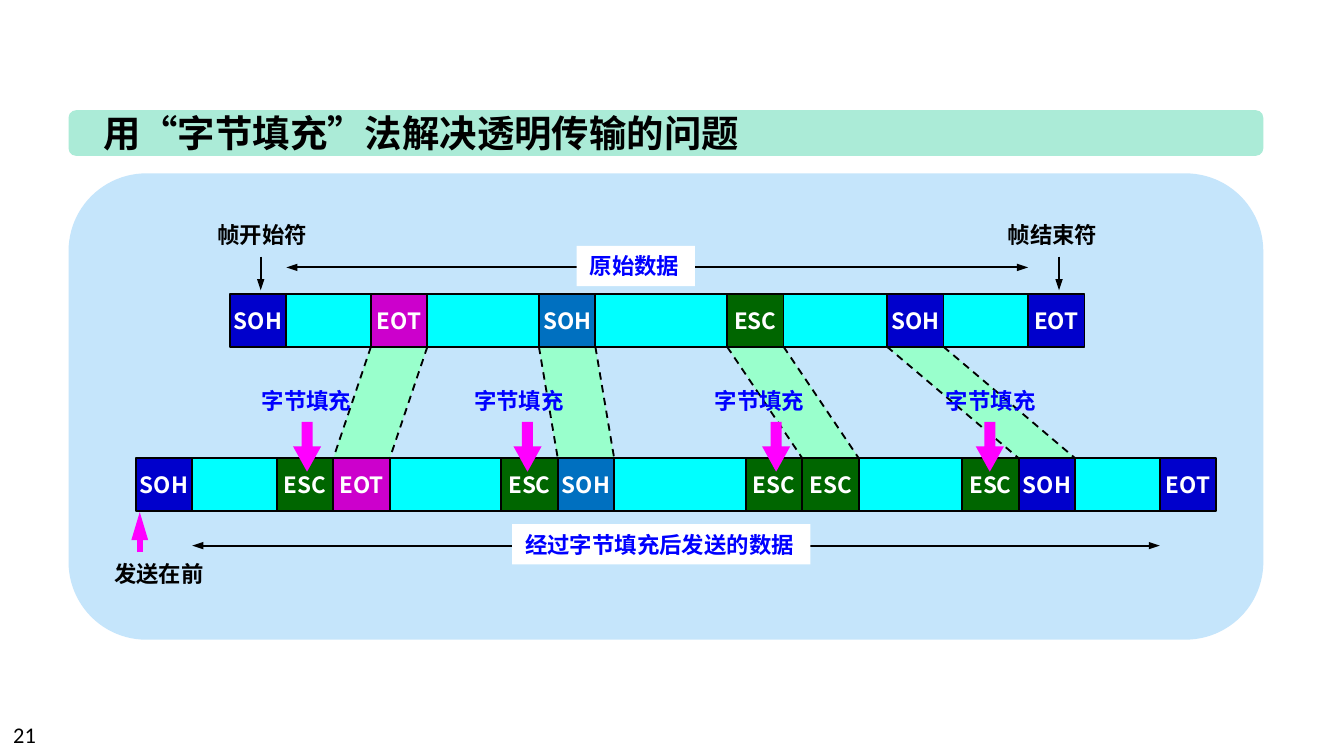
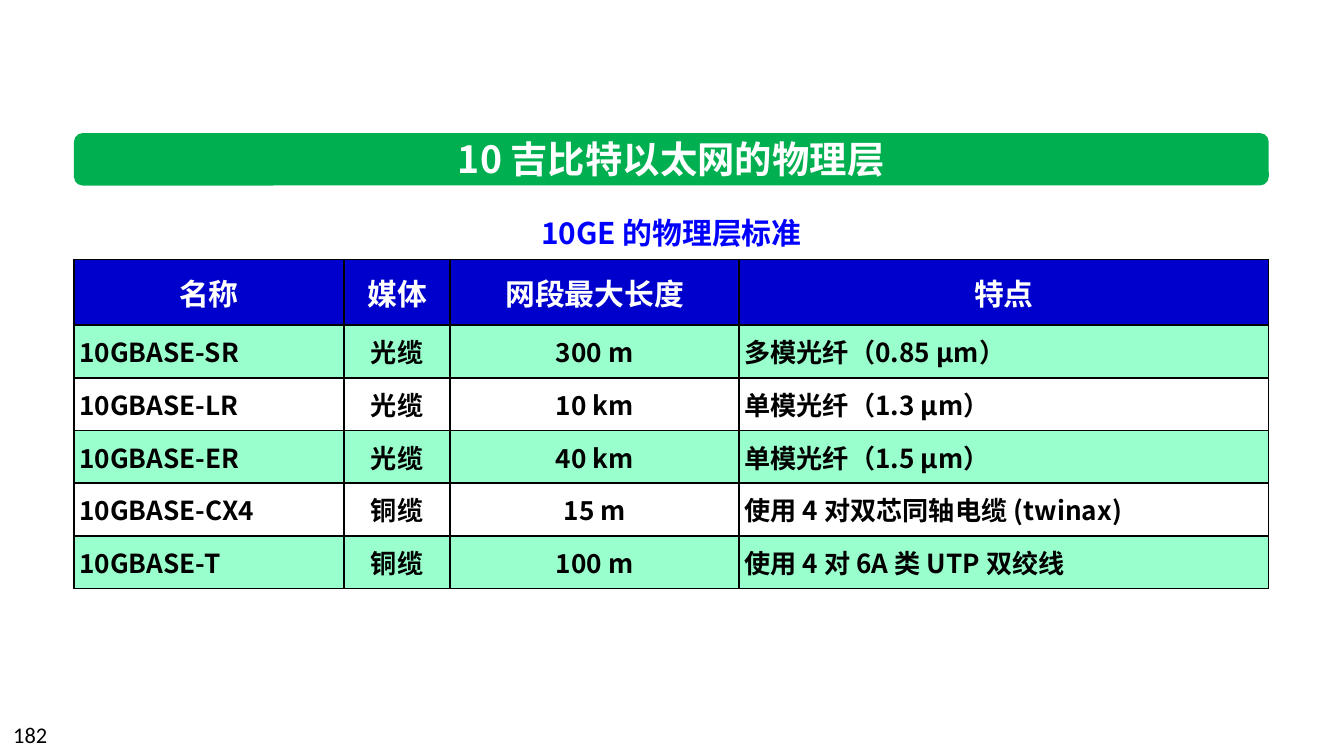
from lxml import etree
from pptx import Presentation
from pptx.dml.color import RGBColor
from pptx.enum.dml import MSO_LINE
from pptx.enum.shapes import MSO_CONNECTOR, MSO_SHAPE
from pptx.enum.text import MSO_ANCHOR, MSO_AUTO_SIZE, PP_ALIGN
from pptx.oxml.ns import qn
from pptx.util import Inches, Pt

LEFT, CENTER, JUSTIFY = PP_ALIGN.LEFT, PP_ALIGN.CENTER, PP_ALIGN.JUSTIFY
MIDDLE = MSO_ANCHOR.MIDDLE
FIT_SHAPE = MSO_AUTO_SIZE.SHAPE_TO_FIT_TEXT
RECTANGLE, ROUNDED = MSO_SHAPE.RECTANGLE, MSO_SHAPE.ROUNDED_RECTANGLE
DOWN_ARROW = MSO_SHAPE.DOWN_ARROW
STRAIGHT = MSO_CONNECTOR.STRAIGHT
DASH = MSO_LINE.DASH

FONT, NUMBER_FONT = "Noto Sans CJK SC", "Calibri"
BLACK, WHITE, BLUE, NAVY = "000000", "FFFFFF", "0000FF", "0000CC"
MINT, CYAN, MAGENTA = "99FFCC", "00FFFF", "FF00FF"
PURPLE, GREEN, STEEL = "CC00CC", "006600", "0070C0"
PANEL, TITLE_MINT, TITLE_GREEN = "C5E5FB", "ABEBD7", "00B050"

# Arrowhead width and length
SMALL_HEAD, LONG_HEAD = ("sm", "med"), ("med", "lg")

# Frame layout: widths of the data stretches between control characters
CELL_WIDTH, CELL_HEIGHT = 0.42, 0.39
DATA_WIDTHS = [0.63, 0.83, 0.98, 0.77, 0.63]
# Character, colour, label and arrow offsets from the stuffed ESC cell
DATA_CHARACTERS = [
    ("EOT", PURPLE, -0.21, 0.12),
    ("SOH", STEEL, -0.3, 0.09),
    ("ESC", GREEN, -0.33, 0.12),
    ("SOH", NAVY, -0.22, 0.1),
]

COLUMN_WIDTHS = [2.01, 0.79, 2.15, 3.94]
COLUMN_ALIGNMENTS = [JUSTIFY, CENTER, CENTER, JUSTIFY]
STANDARDS = [
    ["名称", "媒体", "网段最大长度", "特点"],
    ["10GBASE-SR", "光缆", "300 m", "多模光纤（0.85 μm）"],
    ["10GBASE-LR", "光缆", "10 km", "单模光纤（1.3 μm）"],
    ["10GBASE-ER", "光缆", "40 km", "单模光纤（1.5 μm）"],
    ["10GBASE-CX4", "铜缆", "15 m", "使用 4 对双芯同轴电缆 (twinax)"],
    ["10GBASE-T", "铜缆", "100 m", "使用 4 对 6A 类 UTP 双绞线"],
]


def rgb(value):
    return RGBColor.from_string(value)


def inches(*values):
    return [Inches(value) for value in values]


def write(frame, text, size, color, align=LEFT, bold=True, name=FONT):
    paragraph = frame.paragraphs[0]
    paragraph.text = text
    paragraph.alignment = align
    font = paragraph.font
    font.size, font.bold, font.name = Pt(size), bold, name
    font.color.rgb = rgb(color)
    # East Asian typeface
    properties = paragraph._p.pPr.find(qn("a:defRPr"))
    etree.SubElement(properties, qn("a:ea"), typeface=name)


def add_box(slide, kind, box, fill, outlined=False):
    shape = slide.shapes.add_shape(kind, *inches(*box))
    shape.shadow.inherit = False
    shape.fill.solid()
    shape.fill.fore_color.rgb = rgb(fill)
    if outlined:
        shape.line.color.rgb = rgb(BLACK)
        shape.line.width = Pt(1)
    else:
        shape.line.fill.background()
    return shape


def add_text(slide, box, text, size, color, align=LEFT, fill=None):
    shape = slide.shapes.add_textbox(*inches(*box))
    frame = shape.text_frame
    frame.word_wrap = False
    frame.auto_size = FIT_SHAPE
    write(frame, text, size, color, align)
    if fill:
        shape.fill.solid()
        shape.fill.fore_color.rgb = rgb(fill)


def add_label(slide, left, top, text, color=BLACK, width=0.88, fill=None):
    add_text(slide, (left, top, width, 0.3), text, 12, color, fill=fill)


def add_line(slide, start, end, color=BLACK, width=1, dashed=False,
             arrows=(), head=SMALL_HEAD):
    connector = slide.shapes.add_connector(STRAIGHT, *inches(*start, *end))
    connector.line.color.rgb = rgb(color)
    connector.line.width = Pt(width)
    if dashed:
        connector.line.dash_style = DASH
    line = connector.line._get_or_add_ln()
    for arrow in arrows:
        etree.SubElement(line, qn(f"a:{arrow}"), type="triangle", w=head[0], len=head[1])
    etree.SubElement(connector._element.spPr, qn("a:effectLst"))


def add_title(slide, box, text, fill, color, text_width, indent=None):
    """Rounded band with a heading, indented or centred."""
    left, top, width, height = box
    add_box(slide, ROUNDED, box, fill)
    offset = (width - text_width) / 2 if indent is None else indent
    text_box = (left + offset, top + (height - 0.44) / 2, text_width, 0.44)
    add_text(slide, text_box, text, 20, color, CENTER if indent is None else LEFT)


def add_slide_number(slide, number):
    shape = slide.shapes.add_textbox(*inches(0, 5.32, 2.33, 0.3))
    shape.text_frame.word_wrap = True
    write(shape.text_frame, str(number), 12, BLACK, bold=False, name=NUMBER_FONT)


def add_cell(slide, left, top, text, fill):
    box = (left, top, CELL_WIDTH, CELL_HEIGHT)
    frame = add_box(slide, RECTANGLE, box, fill, outlined=True).text_frame
    frame.word_wrap = False
    frame.vertical_anchor = MIDDLE
    write(frame, text, 12, WHITE, CENTER)


def character_lefts(left, stuffed):
    """Left edges of the four data characters and of the closing EOT."""
    lefts, position = [], left + CELL_WIDTH
    for index, width in enumerate(DATA_WIDTHS):
        position += width
        if stuffed and index < len(DATA_CHARACTERS):
            position += CELL_WIDTH
        lefts.append(position)
        position += CELL_WIDTH
    return lefts


def add_frame_row(slide, left, top, stuffed):
    *lefts, end = character_lefts(left, stuffed)
    start = left + CELL_WIDTH
    bar = (start, top, end - start, CELL_HEIGHT)
    add_box(slide, RECTANGLE, bar, CYAN, outlined=True)
    add_cell(slide, left, top, "SOH", NAVY)
    for position, (text, fill, _, _) in zip(lefts, DATA_CHARACTERS):
        if stuffed:
            add_cell(slide, position - CELL_WIDTH, top, "ESC", GREEN)
        add_cell(slide, position, top, text, fill)
    add_cell(slide, end, top, "EOT", NAVY)


def add_span(slide, start, end, y, text, left, width):
    """Double-headed arrow with a white caption on it."""
    add_line(slide, (start, y), (end, y), arrows=("headEnd", "tailEnd"))
    add_label(slide, left, y - 0.16, text, BLUE, width, WHITE)


def add_stuffing_diagram(slide, box):
    left, top, _, _ = box
    add_box(slide, ROUNDED, box, PANEL)
    original_left, original_top = left + 1.2, top + 0.9
    sent_left, sent_top = left + 0.5, top + 2.12
    *original, original_end = character_lefts(original_left, False)
    *sent, sent_end = character_lefts(sent_left, True)
    upper = original_top + CELL_HEIGHT

    # Bands that link each character to its place in the sent frame
    for above, below in zip(original, sent):
        corners = [(below, sent_top), (below + CELL_WIDTH, sent_top),
                   (above + CELL_WIDTH, upper), (above, upper)]
        points = [inches(*corner) for corner in corners]
        builder = slide.shapes.build_freeform(*points[0], scale=1.0)
        builder.add_line_segments(points[1:], close=True)
        band = builder.convert_to_shape()
        band.shadow.inherit = False
        band.fill.solid()
        band.fill.fore_color.rgb = rgb(MINT)
        band.line.fill.background()

    # The two frames and the dashed guides
    add_frame_row(slide, original_left, original_top, False)
    add_frame_row(slide, sent_left, sent_top, True)
    for above, below in zip(original, sent):
        for edge in (0, CELL_WIDTH):
            add_line(slide, (above + edge, upper), (below + edge, sent_top), dashed=True)

    # Extents of the data
    add_span(slide, original_left + CELL_WIDTH, original_end, top + 0.7,
             "原始数据", left + 3.78, 0.88)
    add_span(slide, sent_left + CELL_WIDTH, sent_end, top + 2.77,
             "经过字节填充后发送的数据", left + 3.3, 2.22)

    # Stuffed bytes
    for position, (_, _, label_offset, arrow_offset) in zip(sent, DATA_CHARACTERS):
        escape = position - CELL_WIDTH
        add_label(slide, escape + label_offset, top + 1.54, "字节填充", BLUE)
        arrow_box = (escape + arrow_offset, top + 1.85, 0.21, 0.37)
        arrow = add_box(slide, DOWN_ARROW, arrow_box, MAGENTA)
        arrow.adjustments[0], arrow.adjustments[1] = 0.39, 0.9

    # Frame delimiters
    delimiters = [("帧开始符", original_left, -0.19), ("帧结束符", original_end, -0.25)]
    for text, position, offset in delimiters:
        add_label(slide, position + offset, top + 0.31, text)
        x = position + 0.23
        add_line(slide, (x, top + 0.62), (x, top + 0.87), arrows=("tailEnd",))

    # Sending order
    x = sent_left + 0.03
    add_line(slide, (x, top + 2.82), (x, top + 2.52), MAGENTA, 3,
             arrows=("tailEnd",), head=LONG_HEAD)
    add_label(slide, left + 0.24, top + 2.83, "发送在前")


def add_borders(cell):
    properties = cell._tc.get_or_add_tcPr()
    for index, side in enumerate(("lnL", "lnR", "lnT", "lnB")):
        line = etree.Element(qn(f"a:{side}"), w=str(Pt(1)))
        fill = etree.SubElement(line, qn("a:solidFill"))
        etree.SubElement(fill, qn("a:srgbClr"), val=BLACK)
        properties.insert(index, line)


def add_standards_table(slide, box):
    left, top, width, height = box
    caption_box = (left + (width - 2.19) / 2, top - 0.38, 2.19, 0.37)
    add_text(slide, caption_box, "10GE 的物理层标准", 16, BLUE, CENTER)
    graphic = slide.shapes.add_table(len(STANDARDS), len(COLUMN_WIDTHS), *inches(*box))
    table = graphic.table
    table.first_row = table.horz_banding = False
    for column, column_width in zip(table.columns, COLUMN_WIDTHS):
        column.width = Inches(column_width)
    header_height = 0.49
    body_height = (height - header_height) / (len(STANDARDS) - 1)
    for row_index, texts in enumerate(STANDARDS):
        header = row_index == 0
        table.rows[row_index].height = Inches(header_height if header else body_height)
        for column_index, text in enumerate(texts):
            cell = table.cell(row_index, column_index)
            cell.vertical_anchor = MIDDLE
            cell.margin_left = cell.margin_right = Inches(0.04)
            cell.margin_top = cell.margin_bottom = 0
            if header or row_index % 2:
                cell.fill.solid()
                cell.fill.fore_color.rgb = rgb(NAVY if header else MINT)
            else:
                cell.fill.background()
            align = CENTER if header else COLUMN_ALIGNMENTS[column_index]
            write(cell.text_frame, text, 16 if header else 14,
                  WHITE if header else BLACK, align)
            add_borders(cell)


def build_stuffing_slide(slide):
    add_title(slide, (0.51, 0.82, 8.89, 0.34), "用“字节填充”法解决透明传输的问题",
              TITLE_MINT, BLACK, 4.97, indent=0.16)
    add_stuffing_diagram(slide, (0.51, 1.29, 8.89, 3.47))
    add_slide_number(slide, 21)


def build_standards_slide(slide):
    add_title(slide, (0.55, 0.99, 8.89, 0.39), "10 吉比特以太网的物理层",
              TITLE_GREEN, WHITE, 3.44)
    add_standards_table(slide, (0.55, 1.93, 8.89, 2.45))
    add_slide_number(slide, 182)


def main():
    presentation = Presentation()
    # Widescreen, 16:9
    presentation.slide_width = Inches(10)
    presentation.slide_height = Inches(10 * 9 / 16)
    blank = presentation.slide_layouts[6]
    for build in (build_stuffing_slide, build_standards_slide):
        build(presentation.slides.add_slide(blank))
    presentation.save("out.pptx")


if __name__ == "__main__":
    main()
